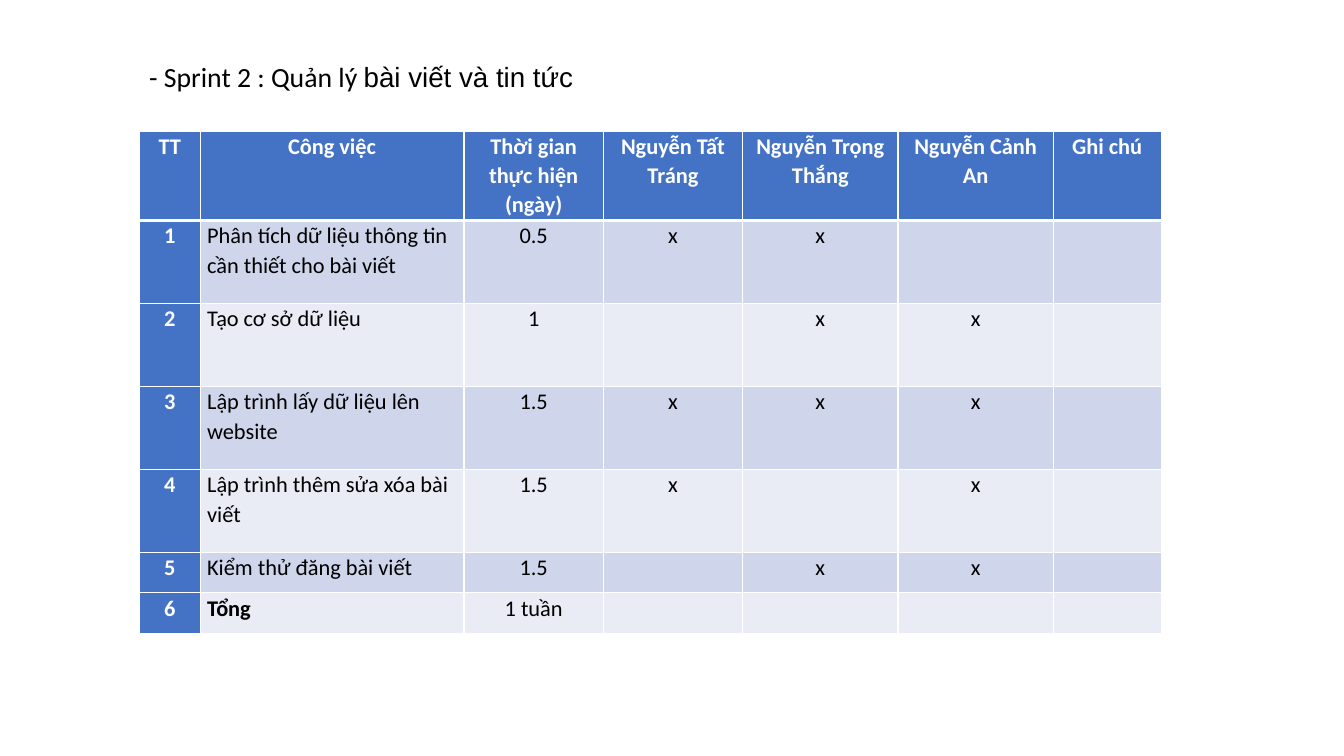
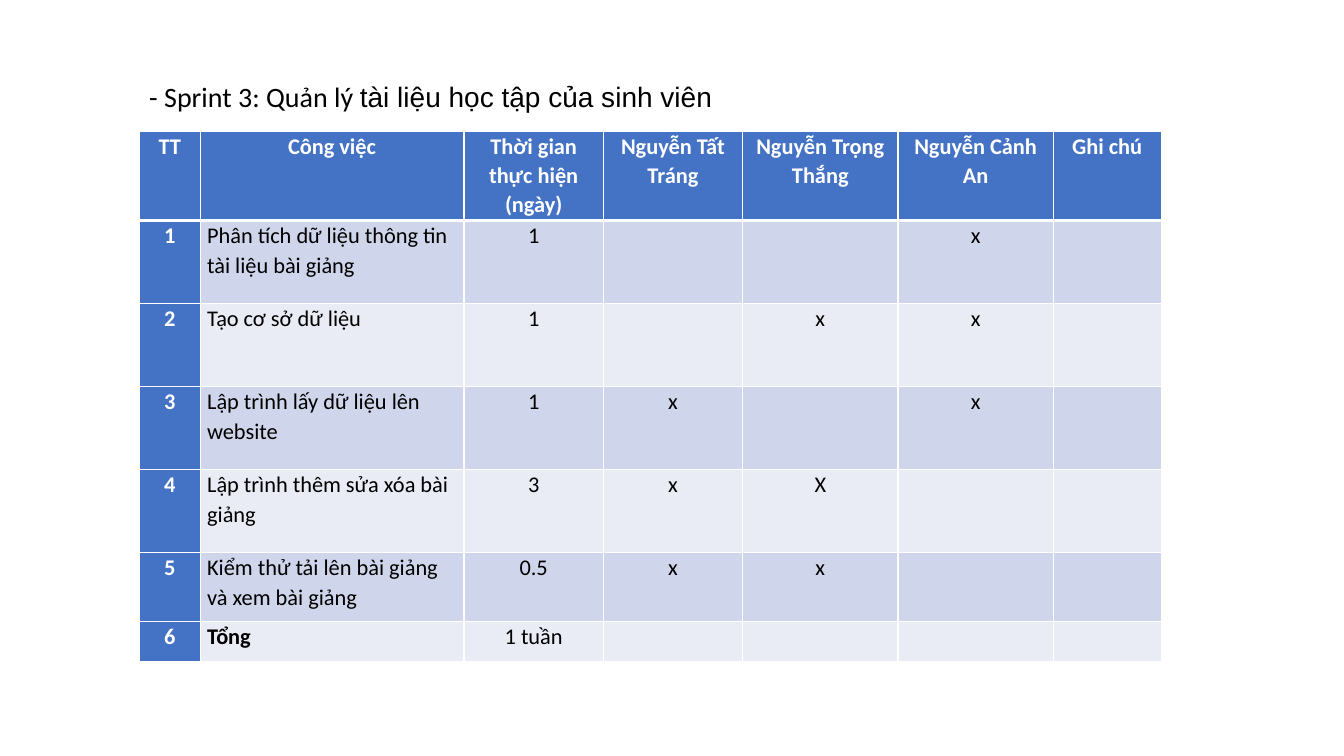
from lxml.etree import SubElement
from pptx import Presentation
from pptx.dml.color import RGBColor
from pptx.enum.text import MSO_ANCHOR, PP_ALIGN
from pptx.oxml.ns import qn
from pptx.util import Pt

BLUE = RGBColor(0x44, 0x72, 0xC4)
BAND_DARK = RGBColor(0xCF, 0xD5, 0xEA)
BAND_LIGHT = RGBColor(0xE9, 0xEB, 0xF5)
WHITE = RGBColor(0xFF, 0xFF, 0xFF)
BLACK = RGBColor(0, 0, 0)

BODY_FONT = "Calibri"
TITLE_FONT = "Arial"

LEFT, TABLE_TOP = 99.5, 93.6
COLUMN_WIDTHS = [43.5, 188.5, 99.5, 99.5, 111, 111, 77]
HEADER_HEIGHT, TASK_HEIGHT, TOTAL_HEIGHT = 64, 59.3, 28.8
TASK_COLUMN = 1

HEADERS = ["TT", "Công việc", "Thời gian thực hiện (ngày)", "Nguyễn Tất Tráng",
           "Nguyễn Trọng Thắng", "Nguyễn Cảnh An", "Ghi chú"]
TOTAL = ("Tổng", "1 tuần", "", "", "")

# Each task: name, days, then one mark per team member
SPRINT_2 = [
    ("Phân tích dữ liệu thông tin cần thiết cho bài viết", "0.5", "x", "x", ""),
    ("Tạo cơ sở dữ liệu", "1", "", "x", "x"),
    ("Lập trình lấy dữ liệu lên website", "1.5", "x", "x", "x"),
    ("Lập trình thêm sửa xóa bài viết", "1.5", "x", "", "x"),
    ("Kiểm thử đăng bài viết", "1.5", "", "x", "x"),
]
SPRINT_3 = [
    ("Phân tích dữ liệu thông tin tài liệu bài giảng", "1", "", "", "x"),
    ("Tạo cơ sở dữ liệu", "1", "", "x", "x"),
    ("Lập trình lấy dữ liệu lên website", "1", "x", "", "x"),
    ("Lập trình thêm sửa xóa bài giảng", "3", "x", "X", ""),
    ("Kiểm thử tải lên bài giảng và xem bài giảng", "0.5", "x", "x", ""),
]


def add_run(paragraph, text, size, color, font=BODY_FONT, bold=False):
    run = paragraph.add_run()
    run.text = text
    run.font.name = font
    run.font.size = Pt(size)
    run.font.bold = bold
    run.font.color.rgb = color


def add_title(slide, top, size, sprint, subject):
    box = slide.shapes.add_textbox(Pt(LEFT), Pt(top), Pt(780), Pt(30))
    frame = box.text_frame
    frame.word_wrap = True
    frame.vertical_anchor = MSO_ANCHOR.MIDDLE
    paragraph = frame.paragraphs[0]
    paragraph.line_spacing = 0.9
    add_run(paragraph, sprint, size, BLACK)
    add_run(paragraph, subject, size, BLACK, TITLE_FONT)


def set_borders(cell, top=1, bottom=1):
    """Draw white borders; call before the fill, which must follow them."""
    properties = cell._tc.get_or_add_tcPr()
    for side, width in (("L", 1), ("R", 1), ("T", top), ("B", bottom)):
        line = SubElement(properties, qn(f"a:ln{side}"), w=str(Pt(width)))
        fill = SubElement(line, qn("a:solidFill"))
        SubElement(fill, qn("a:srgbClr"), val=str(WHITE))


def fill_cell(cell, text, row, column, bold):
    is_heading = row == 0 or column == 0
    set_borders(cell, top=3 if row == 1 else 1, bottom=3 if row == 0 else 1)
    cell.fill.solid()
    band = BAND_DARK if row % 2 else BAND_LIGHT
    cell.fill.fore_color.rgb = BLUE if is_heading else band
    cell.margin_left = cell.margin_right = Pt(5)
    cell.margin_top = cell.margin_bottom = Pt(0)
    if not text:
        return
    paragraph = cell.text_frame.paragraphs[0]
    left_aligned = column == TASK_COLUMN and row > 0
    paragraph.alignment = PP_ALIGN.LEFT if left_aligned else PP_ALIGN.CENTER
    paragraph.line_spacing = 1.07
    paragraph.space_after = Pt(8)
    add_run(paragraph, text, 16, WHITE if is_heading else BLACK,
            bold=bold or is_heading)


def add_task_table(slide, tasks, last_task_height):
    numbered = enumerate([*tasks, TOTAL], start=1)
    rows = [HEADERS] + [[str(number), *task, ""] for number, task in numbered]
    heights = [HEADER_HEIGHT, *[TASK_HEIGHT] * (len(tasks) - 1),
               last_task_height, TOTAL_HEIGHT]
    table = slide.shapes.add_table(
        len(rows), len(HEADERS), Pt(LEFT), Pt(TABLE_TOP),
        Pt(sum(COLUMN_WIDTHS)), Pt(sum(heights))).table
    table.first_col = True
    for column, width in zip(table.columns, COLUMN_WIDTHS):
        column.width = Pt(width)
    for row, (texts, height) in enumerate(zip(rows, heights)):
        table.rows[row].height = Pt(height)
        for column, text in enumerate(texts):
            is_total_label = row == len(rows) - 1 and column == TASK_COLUMN
            fill_cell(table.cell(row, column), text, row, column, is_total_label)


def main():
    presentation = Presentation()
    presentation.slide_width = Pt(960)
    presentation.slide_height = Pt(540)
    blank = presentation.slide_layouts[6]

    slide = presentation.slides.add_slide(blank)
    add_title(slide, 41, 19.8, "- Sprint 2 : Quản lý ", "bài viết và tin tức")
    add_task_table(slide, SPRINT_2, last_task_height=28.8)

    slide = presentation.slides.add_slide(blank)
    add_title(slide, 55, 20, "- Sprint 3: Quản lý ", "tài liệu học tập của sinh viên")
    add_task_table(slide, SPRINT_3, last_task_height=49.3)

    presentation.save("out.pptx")


if __name__ == "__main__":
    main()
